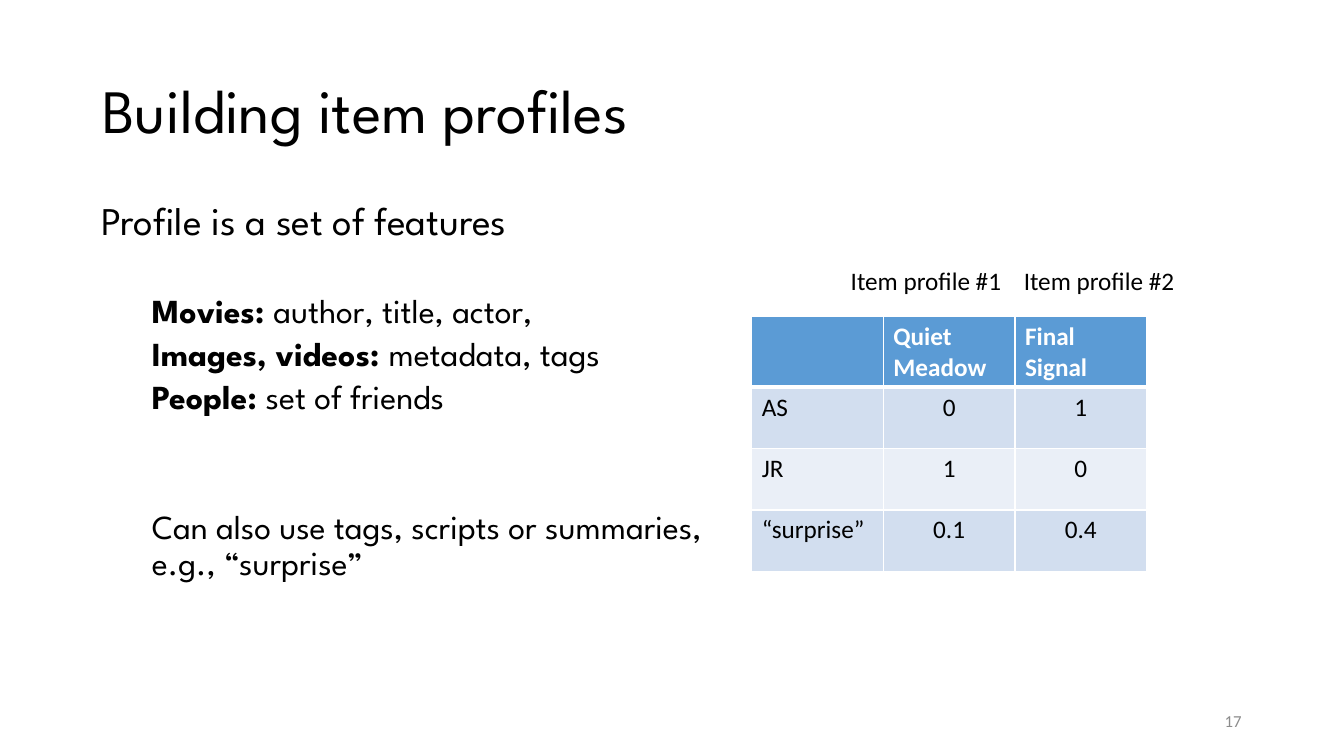
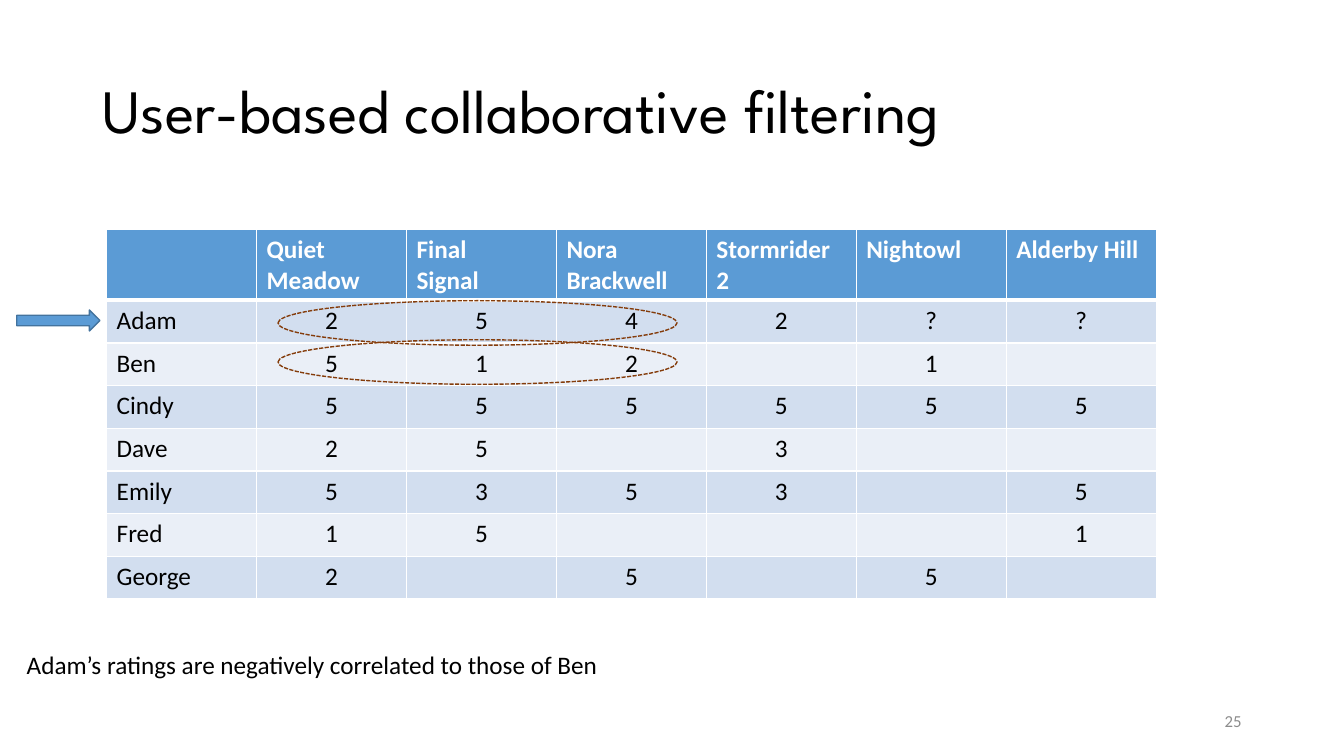
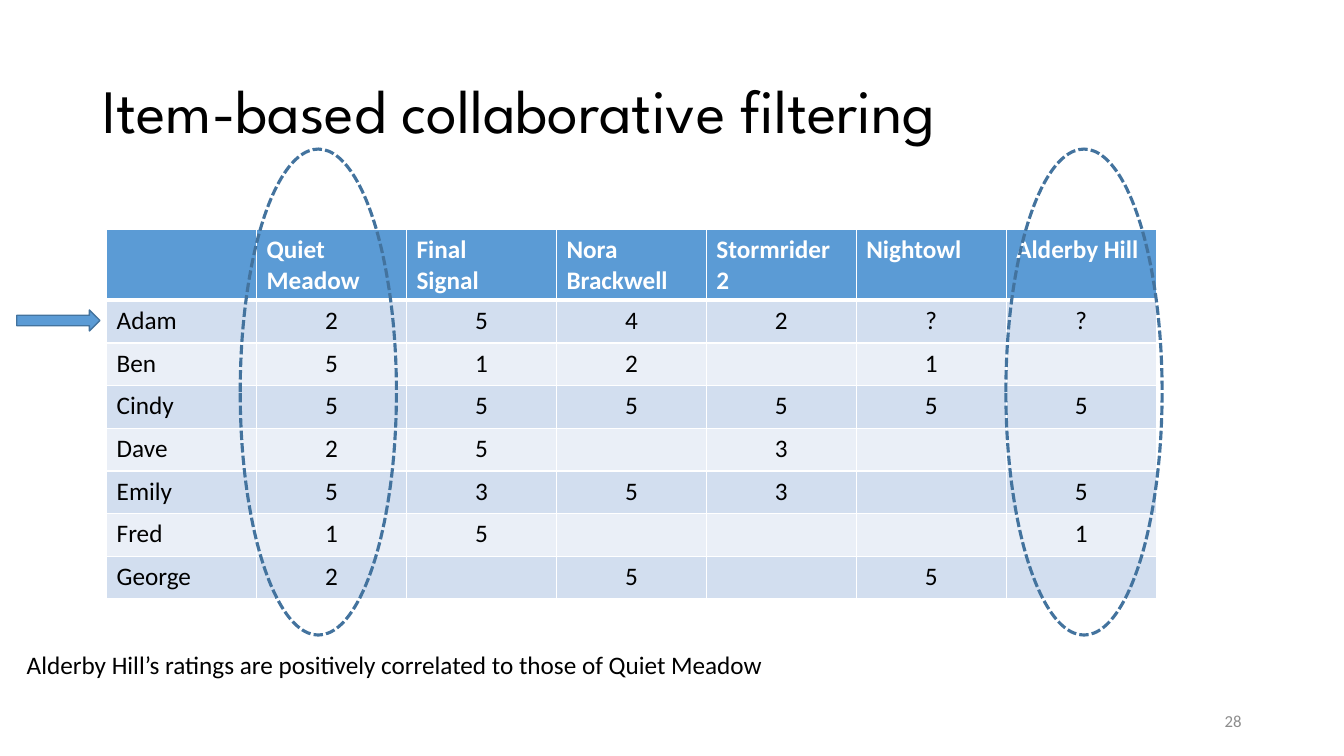
from dataclasses import dataclass
from typing import Optional

import lxml.etree
import pptx
import pptx.dml.color
import pptx.enum.dml
import pptx.enum.shapes
import pptx.enum.text
import pptx.oxml.ns
import pptx.presentation
import pptx.shapes.autoshape
import pptx.slide
import pptx.table
import pptx.text.text
import pptx.util

COLOURS = {
    "text": "000000",
    "white": "FFFFFF",
    "number": "8C8C8C",
    "accent": "5B9BD5",
    "accent_dark": "43739E",
    "band_odd": "D2DEEF",
    "band_even": "EAEFF7",
    "rust": "843C0B",
}
HEADING_FONT = "League Spartan"
BODY_FONT = "Calibri"

GRID_COLUMNS, GRID_ROWS = 160, 90
SLIDE_WIDTH, SLIDE_HEIGHT = pptx.util.Inches(13.33), pptx.util.Inches(7.5)

ALIGN = pptx.enum.text.PP_ALIGN
SHAPE = pptx.enum.shapes.MSO_SHAPE


@dataclass(frozen=True)
class Box:
    """A rectangle in grid columns and rows."""
    left: float
    top: float
    width: float
    height: float

    def place(self) -> tuple[int, int, int, int]:
        return (columns(self.left), rows(self.top),
                columns(self.width), rows(self.height))


@dataclass(frozen=True)
class Style:
    size: float
    font: str = BODY_FONT
    colour: str = "text"
    bold: bool = False


@dataclass(frozen=True)
class BodyLine:
    text: str
    lead: str = ""
    size: float = 24
    indent: float = 6
    before: float = 5


@dataclass(frozen=True)
class Mark:
    kind: SHAPE
    box: Box
    line: str
    weight: float = 1
    fill: Optional[str] = None
    dashed: bool = True


@dataclass(frozen=True)
class RatingsSlide:
    title: str
    number: int
    caption: str
    caption_width: float
    marks: tuple[Mark, ...]


TITLE_BOX = Box(11, 4.8, 138, 17.4)
NUMBER_BOX = Box(113, 83.4, 36, 4.8)
BODY_BOX = Box(10.9, 23.4, 74.9, 57.4)
PROFILE_BOX = Box(89.5, 37.7, 47, 29.2)
RATINGS_BOX = Box(12.7, 27.35, 124.95, 43.4)
LABEL_BOX = Box(100.1, 31, 20.5, 4.8)

TITLE_STYLE = Style(44, HEADING_FONT)
NUMBER_STYLE = Style(12, colour="number")
PLAIN_STYLE = Style(18)
HEADER_STYLE = Style(18, colour="white", bold=True)

BODY_LINES = (
    BodyLine("Profile is a set of features", size=28, indent=0, before=10),
    BodyLine("author, title, actor,", "Movies: ", before=36),
    BodyLine("metadata, tags", "Images, videos: "),
    BodyLine("set of friends", "People: "),
    BodyLine("Can also use tags, scripts or summaries, e.g., “surprise”", before=66.6),
)
FIRST_MOVIE, SECOND_MOVIE, LAST_MOVIE = "Quiet Meadow", "Final\nSignal", "Alderby Hill"
PROFILES = (
    ("", FIRST_MOVIE, SECOND_MOVIE),
    ("AS", "0", "1"),
    ("JR", "1", "0"),
    ("“surprise”", "0.1", "0.4"),
)
RATINGS = (
    ("", FIRST_MOVIE, SECOND_MOVIE, "Nora Brackwell",
     "Stormrider 2", "Nightowl", LAST_MOVIE),
    ("Adam", "2", "5", "4", "2", "?", "?"),
    ("Ben", "5", "1", "2", "", "1", ""),
    ("Cindy", "5", "5", "5", "5", "5", "5"),
    ("Dave", "2", "5", "", "3", "", ""),
    ("Emily", "5", "3", "5", "3", "", "5"),
    ("Fred", "1", "5", "", "", "", "1"),
    ("George", "2", "", "5", "", "5", ""),
)

USER_ARROW = Mark(SHAPE.RIGHT_ARROW, Box(2, 36.9, 9.9, 2.5),
                  "accent_dark", fill="accent", dashed=False)
ROW_RINGS = tuple(Mark(SHAPE.OVAL, Box(33.1, top, 47.5, 5.3), "rust")
                  for top in (35.8, 40.45))
COLUMN_RINGS = tuple(Mark(SHAPE.OVAL, Box(left, 17.75, 18.6, 57.85), "accent_dark", 2.25)
                     for left in (28.6, 119.75))
RATINGS_SLIDES = (
    RatingsSlide("User-based collaborative filtering", 25,
                 "Adam’s ratings are negatively correlated to those of Ben",
                 71.2, (USER_ARROW, *ROW_RINGS)),
    RatingsSlide("Item-based collaborative filtering", 28,
                 f"{LAST_MOVIE}’s ratings are positively correlated to those of {FIRST_MOVIE}",
                 90, (USER_ARROW, *COLUMN_RINGS)),
)


def columns(count: float) -> int:
    return round(SLIDE_WIDTH * count / GRID_COLUMNS)


def rows(count: float) -> int:
    return round(SLIDE_HEIGHT * count / GRID_ROWS)


def rgb(name: str) -> pptx.dml.color.RGBColor:
    return pptx.dml.color.RGBColor.from_string(COLOURS[name])


def apply_style(font: pptx.text.text.Font, style: Style) -> None:
    font.name = style.font
    font.size = pptx.util.Pt(style.size)
    font.bold = style.bold
    font.color.rgb = rgb(style.colour)


def style_frame(frame: pptx.text.text.TextFrame, style: Style, align: ALIGN) -> None:
    for para in frame.paragraphs:
        para.alignment = align
        for span in para.runs:
            apply_style(span.font, style)


def add_text(page: pptx.slide.Slide, box: Box, text: str, style: Style,
             align: ALIGN = ALIGN.LEFT, middle: bool = False) -> pptx.text.text.TextFrame:
    frame = page.shapes.add_textbox(*box.place()).text_frame
    frame.word_wrap = True
    if middle:
        frame.vertical_anchor = pptx.enum.text.MSO_ANCHOR.MIDDLE
    frame.text = text
    style_frame(frame, style, align)
    return frame


def add_label(page: pptx.slide.Slide, box: Box, text: str) -> None:
    """Add one unwrapped line whose box fits its text."""
    frame = add_text(page, box, text, PLAIN_STYLE)
    frame.word_wrap = False
    frame.auto_size = pptx.enum.text.MSO_AUTO_SIZE.SHAPE_TO_FIT_TEXT


def add_page(deck: pptx.presentation.Presentation, title: str,
             number: int) -> pptx.slide.Slide:
    page = deck.slides.add_slide(deck.slide_layouts[6])
    frame = add_text(page, TITLE_BOX, title, TITLE_STYLE, middle=True)
    frame.paragraphs[0].line_spacing = 0.9
    add_text(page, NUMBER_BOX, str(number), NUMBER_STYLE, ALIGN.RIGHT, middle=True)
    return page


def add_body(page: pptx.slide.Slide, lines: tuple[BodyLine, ...]) -> None:
    frame = page.shapes.add_textbox(*BODY_BOX.place()).text_frame
    frame.word_wrap = True
    for index, line in enumerate(lines):
        para = frame.add_paragraph() if index else frame.paragraphs[0]
        para.line_spacing = 0.9
        para.space_before = pptx.util.Pt(line.before)
        para._p.get_or_add_pPr().set("marL", str(columns(line.indent)))
        for text, bold in ((line.lead, True), (line.text, False)):
            if text:
                span = para.add_run()
                span.text = text
                apply_style(span.font, Style(line.size, HEADING_FONT, bold=bold))


def add_borders(cell: pptx.table._Cell, bottom: float) -> None:
    """Draw white cell borders, 1 point wide except at the bottom."""
    properties = cell._tc.get_or_add_tcPr()
    weights = {"a:lnL": 1, "a:lnR": 1, "a:lnT": 1, "a:lnB": bottom}
    for index, (tag, weight) in enumerate(weights.items()):
        border = lxml.etree.Element(pptx.oxml.ns.qn(tag), w=str(pptx.util.Pt(weight)))
        fill = lxml.etree.SubElement(border, pptx.oxml.ns.qn("a:solidFill"))
        lxml.etree.SubElement(fill, pptx.oxml.ns.qn("a:srgbClr"), val=COLOURS["white"])
        properties.insert(index, border)


def add_grid(page: pptx.slide.Slide, box: Box, data: tuple[tuple[str, ...], ...],
             header: float, row: float) -> None:
    """Add a banded table with equal columns and a header row."""
    table = page.shapes.add_table(len(data), len(data[0]), *box.place()).table
    for column in table.columns:
        column.width = columns(box.width / len(data[0]))
    for i, values in enumerate(data):
        table.rows[i].height = rows(row if i else header)
        band = "accent" if i == 0 else ("band_odd" if i % 2 else "band_even")
        for j, value in enumerate(values):
            cell = table.cell(i, j)
            cell.text_frame.text = value
            style_frame(cell.text_frame, PLAIN_STYLE if i else HEADER_STYLE,
                        ALIGN.CENTER if i and j else ALIGN.LEFT)
            cell.fill.solid()
            cell.fill.fore_color.rgb = rgb(band)
            add_borders(cell, bottom=1 if i else 3)


def add_mark(page: pptx.slide.Slide, mark: Mark) -> None:
    shape = page.shapes.add_shape(mark.kind, *mark.box.place())
    shape.shadow.inherit = False
    if mark.fill:
        shape.fill.solid()
        shape.fill.fore_color.rgb = rgb(mark.fill)
    else:
        shape.fill.background()
    shape.line.color.rgb = rgb(mark.line)
    shape.line.width = pptx.util.Pt(mark.weight)
    if mark.dashed:
        shape.line.dash_style = pptx.enum.dml.MSO_LINE.SQUARE_DOT


def build_profiles(deck: pptx.presentation.Presentation) -> None:
    page = add_page(deck, "Building item profiles", 17)
    add_body(page, BODY_LINES)
    add_grid(page, PROFILE_BOX, PROFILES, header=7.3, row=7.3)
    for index in range(2):
        box = Box(LABEL_BOX.left + index * 20.6, LABEL_BOX.top,
                  LABEL_BOX.width, LABEL_BOX.height)
        add_label(page, box, f"Item profile #{index + 1}")


def build_ratings(deck: pptx.presentation.Presentation, content: RatingsSlide) -> None:
    page = add_page(deck, content.title, content.number)
    add_grid(page, RATINGS_BOX, RATINGS, header=7.7, row=5.08)
    for mark in content.marks:
        add_mark(page, mark)
    add_label(page, Box(2, 76.7, content.caption_width, 4.8), content.caption)


def main() -> None:
    deck = pptx.Presentation()
    deck.slide_width, deck.slide_height = SLIDE_WIDTH, SLIDE_HEIGHT
    build_profiles(deck)
    for content in RATINGS_SLIDES:
        build_ratings(deck, content)
    deck.save("out.pptx")


if __name__ == "__main__":
    main()
